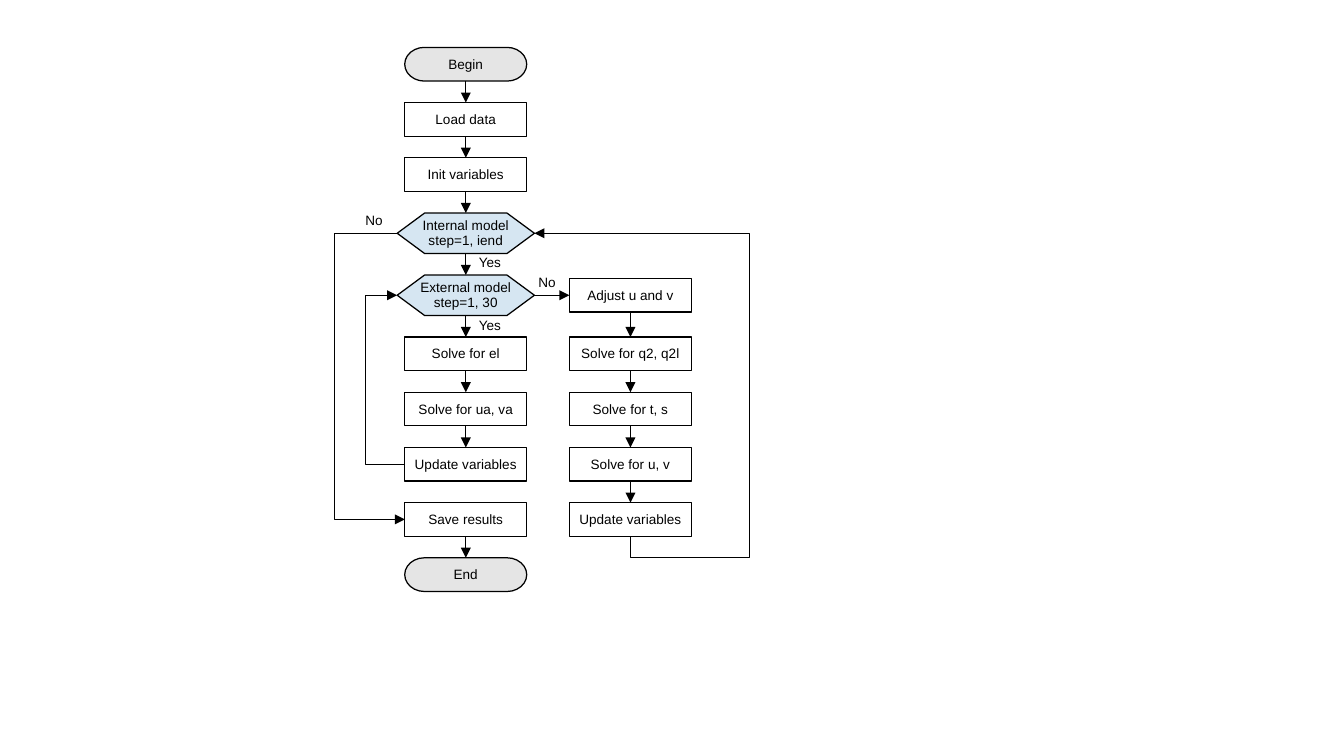
import pptx
import pptx.util
import pptx.dml.color
import pptx.enum.shapes
import pptx.enum.text
import pptx.oxml
import pptx.oxml.ns

Pt = pptx.util.Pt
qn = pptx.oxml.ns.qn
SHAPE = pptx.enum.shapes.MSO_SHAPE
LINE = pptx.enum.shapes.MSO_CONNECTOR
ALIGN = pptx.enum.text.PP_ALIGN
ANCHOR = pptx.enum.text.MSO_ANCHOR
COLORS = {"ink": "000000", "terminal": "E5E5E5", "loop": "D6E6F2"}
RGB = {name: pptx.dml.color.RGBColor.from_string(c) for name, c in COLORS.items()}
FRAME = {"margin_left": Pt(7.2), "margin_right": Pt(7.2),
         "margin_top": Pt(4.2), "margin_bottom": Pt(3.6)}
FONT = {"name": "Arial", "size": Pt(8), "bold": False}
TOP, LEFT, BOTTOM, RIGHT = range(4)

prs = pptx.Presentation()
prs.slide_width, prs.slide_height = Pt(793.44), Pt(446.4)
slide = prs.slides.add_slide(prs.slide_layouts[6])


def write(sp, text, wrap, anchor, align):
    tf = sp.text_frame
    for key, value in {**FRAME, "word_wrap": wrap, "vertical_anchor": anchor}.items():
        setattr(tf, key, value)
    tf.text = text
    for p in tf.paragraphs:
        p.alignment, p.line_spacing = align, 0.93
        for key, value in FONT.items():
            setattr(p.runs[0].font, key, value)
        p.runs[0].font.color.rgb = RGB["ink"]


def arrow(kind, points, adjust=()):
    cn = slide.shapes.add_connector(kind, *[Pt(v) for v in points])
    cn.line.color.rgb, cn.line.width = RGB["ink"], Pt(0.5)
    spPr = cn._element.spPr
    pptx.oxml.ns.qn
    tail = spPr.find(qn("a:ln")).makeelement(qn("a:tailEnd"), {"type": "triangle"})
    spPr.find(qn("a:ln")).append(tail)
    spPr.append(spPr.makeelement(qn("a:effectLst"), {}))
    guides = spPr.find(qn("a:prstGeom")).find(qn("a:avLst"))
    for i, ratio in enumerate(adjust, 1):
        guides.append(guides.makeelement(qn("a:gd"), {
            "name": f"adj{i}", "fmla": f"val {round(ratio * 100000)}"}))
    return cn


KINDS = {
    "terminal": (SHAPE.FLOWCHART_TERMINATOR, 72, 19.9),
    "step": (SHAPE.FLOWCHART_PROCESS, 72, 19.9),
    "loop": (SHAPE.FLOWCHART_PREPARATION, 81, 23.9),
}
MAIN_X, SIDE_X, GAP = 275, 372.2, 12.7
main_steps = [
    ("terminal", "Begin"), ("step", "Load data"), ("step", "Init variables"),
    ("loop", "Internal model\nstep=1, iend"), ("loop", "External model\nstep=1, 30"),
    ("step", "Solve for el"), ("step", "Solve for ua, va"),
    ("step", "Update variables"), ("step", "Save results"), ("terminal", "End"),
]
side_steps = ["Adjust u and v", "Solve for q2, q2l", "Solve for t, s",
              "Solve for u, v", "Update variables"]

nodes, middles, top = [], [], 28
for kind, text in main_steps:
    height = KINDS[kind][2]
    middles.append(top + height / 2)
    nodes.append((kind, text, MAIN_X, middles[-1]))
    top += height + GAP
INTERNAL, EXTERNAL, UPDATE, SAVE = 3, 4, 7, 8
for text, y in zip(side_steps, middles[EXTERNAL:]):
    nodes.append(("step", text, SIDE_X, y))

boxes = []
for kind, text, x, y in nodes:
    preset, width, height = KINDS[kind]
    sp = slide.shapes.add_shape(preset, Pt(x - width / 2), Pt(y - height / 2),
                                Pt(width), Pt(height))
    sp.shadow.inherit = False
    if kind == "step":
        sp.fill.background()
    else:
        sp.fill.solid()
        sp.fill.fore_color.rgb = RGB[kind]
    sp.line.color.rgb, sp.line.width = RGB["ink"], Pt(0.75)
    write(sp, text, False, ANCHOR.MIDDLE, ALIGN.CENTER)
    boxes.append(sp)
main, side = boxes[:len(main_steps)], boxes[len(main_steps):]

for text, x, y, width in [("Yes", 275.6, 146.6, 34), ("No", 208.6, 121.8, 34),
                          ("Yes", 275.6, 183.8, 40), ("No", 310.8, 158.7, 34)]:
    sp = slide.shapes.add_textbox(Pt(x), Pt(y), Pt(width), Pt(16))
    write(sp, text, True, ANCHOR.TOP, ALIGN.LEFT)

links = [(a, BOTTOM, b, TOP) for column in (main, side)
         for a, b in zip(column, column[1:]) if a is not main[UPDATE]]
links.append((main[EXTERNAL], RIGHT, side[0], LEFT))
for a, start, b, end in links:
    cn = arrow(LINE.STRAIGHT, (0, 0, 0, 0))
    cn.begin_connect(a, start)
    cn.end_connect(b, end)

box_left, loop_left = MAIN_X - 36, MAIN_X - 40.5
for a, b, x0, x1, turn_x in [(UPDATE, EXTERNAL, box_left, loop_left, 215.8),
                             (INTERNAL, SAVE, loop_left, box_left, 197.5)]:
    cn = arrow(LINE.ELBOW, (x0, middles[a], x1, middles[b]),
               [(turn_x - x0) / (x1 - x0)])
    cn.begin_connect(main[a], LEFT)
    cn.end_connect(main[b], LEFT)

x0, y0 = SIDE_X, middles[SAVE] + 9.95
x1, y1 = MAIN_X + 40.5, middles[INTERNAL]
turn_x, turn_y = 442.4, 329.4
run, rise = x0 - x1, y0 - y1
cx, cy = (x0 + x1) / 2, (y0 + y1) / 2
cn = arrow(LINE.ELBOW,
           (cx + rise / 2, cy - run / 2, cx - rise / 2, cy + run / 2),
           [(y0 - turn_y) / rise, (x0 - turn_x) / run])
spPr = cn._element.spPr
spPr.find(qn("a:xfrm")).set("rot", "5400000")
spPr.find(qn("a:prstGeom")).set("prst", "bentConnector4")

prs.save("out.pptx")
